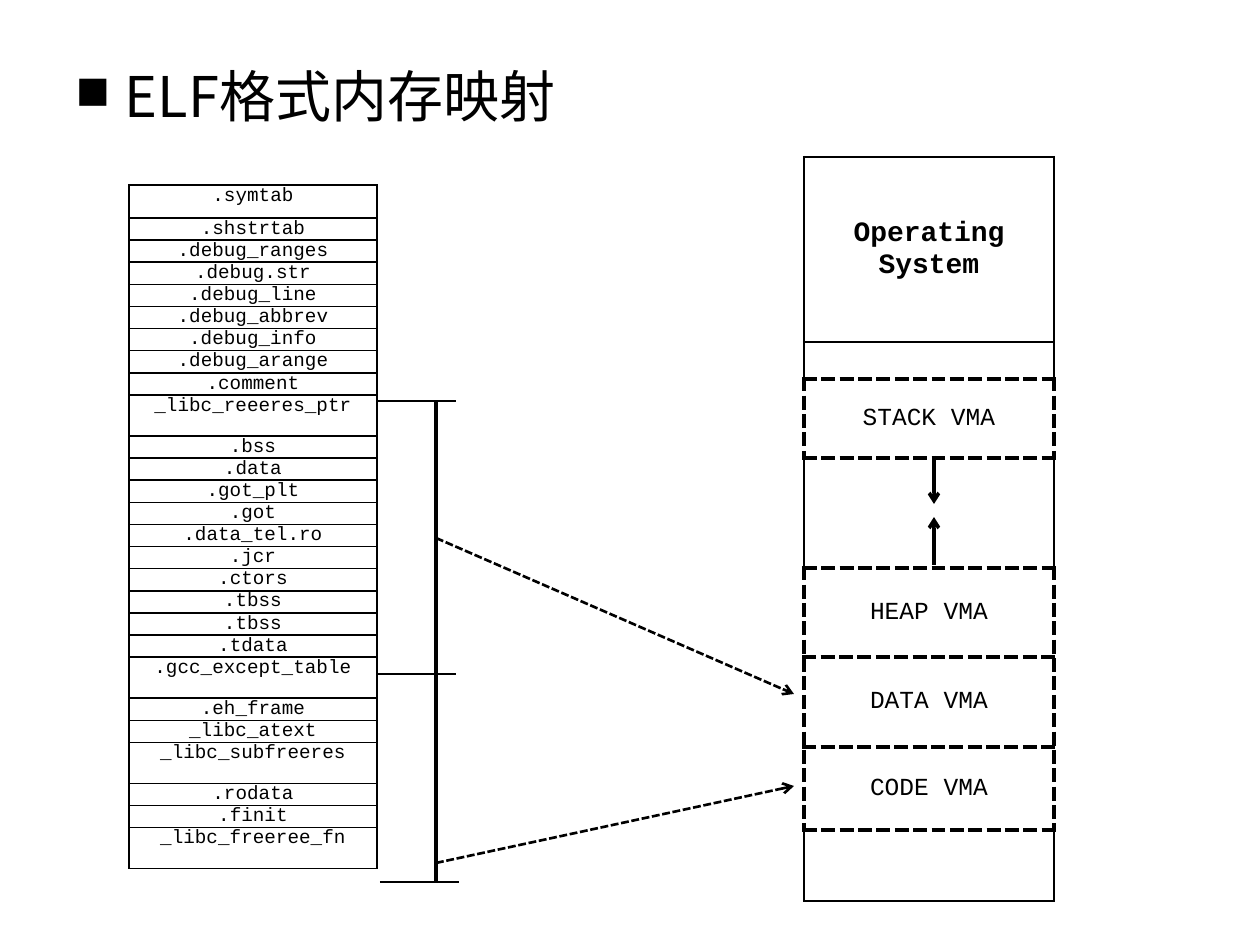
from lxml import etree
from pptx import Presentation
from pptx.dml.color import RGBColor
from pptx.enum.dml import MSO_LINE
from pptx.enum.shapes import MSO_CONNECTOR
from pptx.enum.text import MSO_ANCHOR, MSO_AUTO_SIZE, PP_ALIGN
from pptx.oxml.ns import qn
from pptx.util import Pt

TOP, MID = MSO_ANCHOR.TOP, MSO_ANCHOR.MIDDLE
LEFT, MIDST = PP_ALIGN.LEFT, PP_ALIGN.CENTER
STRAIGHT, DASH = MSO_CONNECTOR.STRAIGHT, MSO_LINE.SQUARE_DOT
FIXED = MSO_AUTO_SIZE.NONE
BLACK = RGBColor(0, 0, 0)
WHITE = RGBColor(255, 255, 255)
MONO, SANS = "Courier New", "Noto Sans CJK KR"
SCALE = 914400 / 126

TITLE = "ELF格式内存映射"
PARTS = [
    ".symtab", ".shstrtab", ".debug_ranges", ".debug.str", ".debug_line",
    ".debug_abbrev", ".debug_info", ".debug_arange", ".comment",
    "_libc_reeeres_ptr", ".bss", ".data", ".got_plt", ".got", ".data_tel.ro",
    ".jcr", ".ctors", ".tbss", ".tbss", ".tdata", ".gcc_except_table",
    ".eh_frame", "_libc_atext", "_libc_subfreeres", ".rodata", ".finit",
    "_libc_freeree_fn",
]
HIGH = {".symtab": 33, "_libc_reeeres_ptr": 41, ".gcc_except_table": 41,
        "_libc_subfreeres": 41, "_libc_freeree_fn": 41}
ROW = 22
AREAS = [("Operating System", 185), ("", 37), ("STACK VMA", 79), ("", 110),
         ("HEAP VMA", 89), ("DATA VMA", 90), ("CODE VMA", 83), ("", 71)]
STEM, AXIS = 436, 934
LINES = [
    (377, 401, 456, 401, 1.5, False, False),
    (377, 674, 456, 674, 1.5, False, False),
    (380, 882, 459, 882, 1.5, False, False),
    (STEM, 401, STEM, 674, 2, False, False),
    (STEM, 674, STEM, 882, 2, False, False),
    (STEM, 538, 794, 694, 1.5, True, True),
    (STEM, 863, 794, 786, 1.5, True, True),
    (AXIS, 456, AXIS, 504, 2, False, True),
    (AXIS, 565, AXIS, 517, 2, False, True),
]


def px(n):
    return round(n * SCALE)


def add(parent, tag, **attrs):
    return etree.SubElement(parent, qn(tag), attrs)


def write(para, text, font, size, bold=False):
    run = para.add_run()
    run.text = text
    run.font.name, run.font.size, run.font.bold = font, Pt(size), bold
    run.font.color.rgb = BLACK
    return run


def border(cell, sides):
    props = cell._tc.get_or_add_tcPr()
    for side in "LRTB":
        width, dash = sides[side]
        line = add(props, "a:ln" + side, w=str(Pt(width)))
        fill = add(line, "a:solidFill")
        add(fill, "a:srgbClr", val=str(BLACK))
        add(line, "a:prstDash", val="sysDash" if dash else "solid")


def grid(slide, x, y, wide, tall):
    frame = slide.shapes.add_table(len(tall), 1, px(x), px(y), px(wide), px(sum(tall)))
    table = frame.table
    table.first_row = table.horz_banding = False
    for row, high in zip(table.rows, tall):
        row.height = px(high)
    return [row.cells[0] for row in table.rows]


def fill(cell, text, size, bold, anchor, side, edge, sides):
    border(cell, sides)
    cell.fill.solid()
    cell.fill.fore_color.rgb = WHITE
    cell.vertical_anchor = anchor
    cell.margin_left = cell.margin_right = px(side)
    cell.margin_top, cell.margin_bottom = px(edge), 0
    para = cell.text_frame.paragraphs[0]
    para.alignment = MIDST
    if text:
        write(para, text, MONO, size, bold)
    else:
        add(para._p, "a:endParaRPr", sz=str(size * 100))


def head(slide):
    title = slide.shapes.title
    title.left, title.top, title.width, title.height = map(px, (64, 55, 1132, 714))
    frame = title.text_frame
    frame.auto_size, frame.vertical_anchor, frame.word_wrap = FIXED, TOP, True
    para = frame.paragraphs[0]
    para.alignment = LEFT
    props = para._p.get_or_add_pPr()
    props.set("marL", str(px(48)))
    props.set("indent", str(-px(48)))
    add(props, "a:buFont", typeface=MONO)
    add(props, "a:buChar", char="■")
    run = write(para, TITLE, SANS, 32)
    add(run._r.get_or_add_rPr(), "a:ea", typeface=SANS)


def link(slide, x1, y1, x2, y2, width, dash, arrow):
    line = slide.shapes.add_connector(STRAIGHT, px(x1), px(y1), px(x2), px(y2))
    line.line.color.rgb = BLACK
    line.line.width = Pt(width)
    if dash:
        line.line.dash_style = DASH
    if arrow:
        add(line.line._get_or_add_ln(), "a:tailEnd", type="arrow")
    add(line._element.spPr, "a:effectLst")


def main():
    deck = Presentation()
    deck.slide_width, deck.slide_height = px(1260), px(945)
    slide = deck.slides.add_slide(deck.slide_layouts[5])
    slide.background.fill.solid()
    slide.background.fill.fore_color.rgb = WHITE
    head(slide)

    cells = grid(slide, 129, 185, 248, [HIGH.get(name, ROW) for name in PARTS])
    thin = dict.fromkeys("LRTB", (1, False))
    for cell, name in zip(cells, PARTS):
        fill(cell, name, 11, False, TOP, 9, 0, thin)

    cells = grid(slide, 804, 157, 250, [high for _, high in AREAS])
    solid, dash = (1.5, False), (2.25, True)
    last = len(AREAS) - 1
    for i, (cell, (name, _)) in enumerate(zip(cells, AREAS)):
        edge = dash if name and i else solid
        sides = {"L": edge, "R": edge, "T": dash if i > 1 else solid,
                 "B": dash if 0 < i < last else solid}
        fill(cell, name, 14 if i else 16, i == 0, MID, 1, 1, sides)

    for item in LINES:
        link(slide, *item)
    deck.save("out.pptx")


if __name__ == "__main__":
    main()
